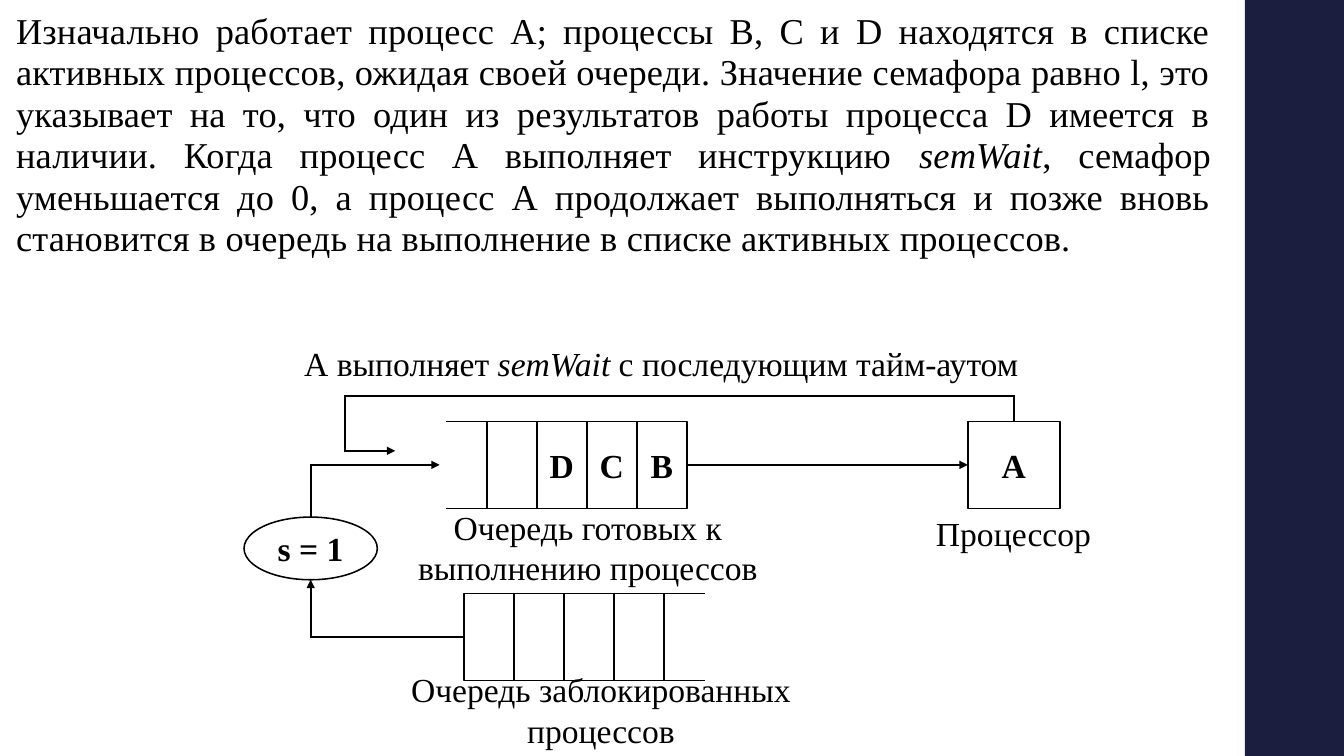
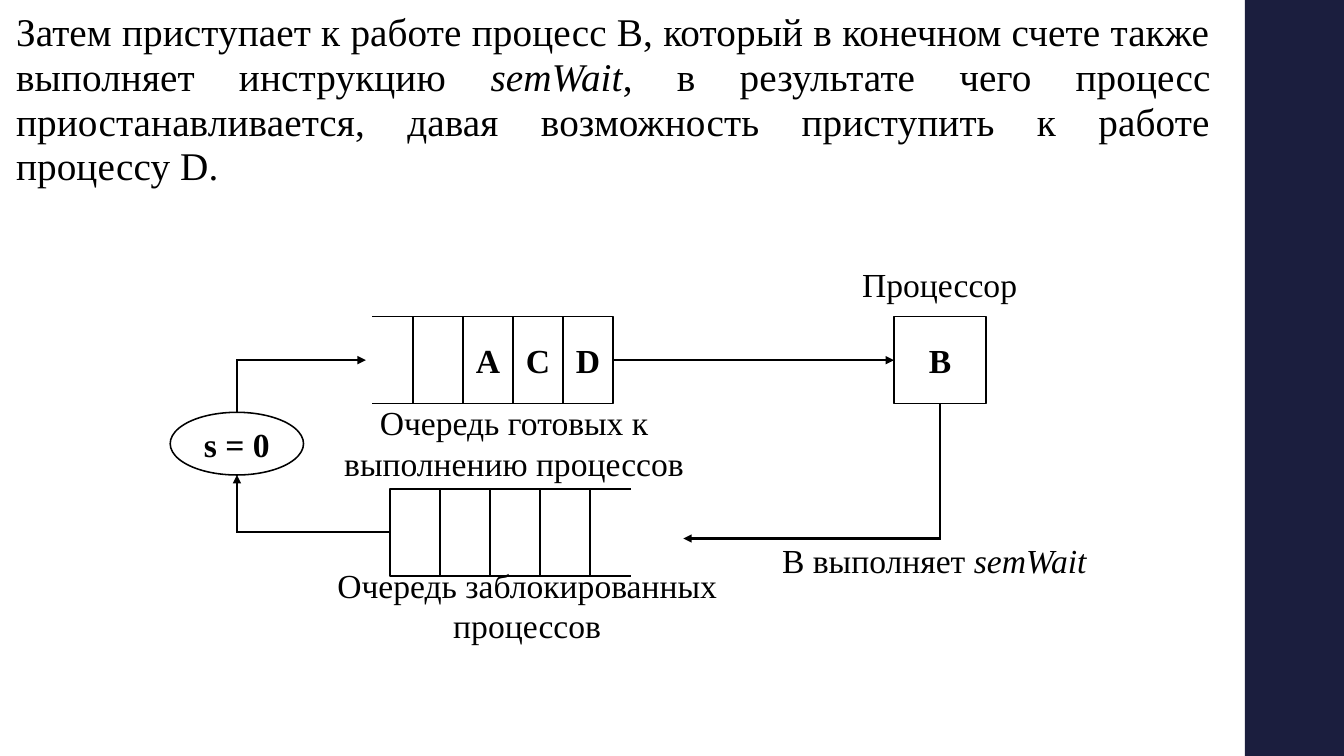
import itertools

import lxml.etree
import pptx
import pptx.dml.color
import pptx.enum.shapes
import pptx.enum.text
import pptx.oxml.ns
import pptx.util

Cm = pptx.util.Cm
Pt = pptx.util.Pt
ALIGN = pptx.enum.text.PP_ALIGN
SHAPE = pptx.enum.shapes.MSO_SHAPE
COLORS = {"ink": "000000", "paper": "FFFFFF", "band": "1B1E3E"}
FONT = "Times New Roman"
CELL_WIDTH, CELL_HEIGHT, OPEN_END = 1.26, 2.19, 1.04


def color(name):
    """Return a named colour."""
    return pptx.dml.color.RGBColor.from_string(COLORS[name])


def child(parent, tag, **attributes):
    """Append a drawing element with attributes."""
    element = lxml.etree.SubElement(parent, pptx.oxml.ns.qn(tag))
    for name, value in attributes.items():
        element.set(name, value)
    return element


def write(frame, text, size=24, bold=False, align=ALIGN.CENTER):
    """Write one paragraph, with the parts between asterisks in italics."""
    para = frame.paragraphs[0]
    para.alignment = align
    for index, part in enumerate(text.split("*")):
        if part:
            span = para.add_run()
            span.text = part
            span.font.name = FONT
            span.font.size = Pt(size)
            span.font.bold = bold
            span.font.italic = index % 2 == 1
            span.font.color.rgb = color("ink")
    return para


def add_label(page, text, left, top, width, height):
    """Add a centred, wrapping caption."""
    box = page.shapes.add_textbox(Cm(left), Cm(top), Cm(width), Cm(height))
    box.text_frame.word_wrap = True
    write(box.text_frame, text)


def add_node(shapes, kind, left, top, width, height, text=""):
    """Add an outlined shape with bold centred text."""
    node = shapes.add_shape(kind, Cm(left), Cm(top), Cm(width), Cm(height))
    node.shadow.inherit = False
    node.fill.solid()
    node.fill.fore_color.rgb = color("paper")
    node.line.color.rgb = color("ink")
    node.line.width = Pt(1.1)
    if text:
        frame = node.text_frame
        frame.margin_left = frame.margin_right = 0
        frame.vertical_anchor = pptx.enum.text.MSO_ANCHOR.MIDDLE
        write(frame, text, bold=True)
    return node


def add_line(shapes, start, end, width=1.0):
    """Add a straight line between two points."""
    line = shapes.add_connector(
        pptx.enum.shapes.MSO_CONNECTOR.STRAIGHT,
        Cm(start[0]), Cm(start[1]), Cm(end[0]), Cm(end[1]))
    line.line.color.rgb = color("ink")
    line.line.width = Pt(width)
    child(line._element.spPr, "a:effectLst")
    return line


def add_route(page, *points):
    """Add a right-angled route that ends in an arrowhead."""
    for start, end in itertools.pairwise(points):
        line = add_line(page.shapes, start, end, 1.5)
        line.line._get_or_add_ln().set("cap", "sq")
    child(line.line._get_or_add_ln(), "a:tailEnd", type="triangle")


def add_queue(page, left, top, names, open_side):
    """Add a row of cells, open at its left (-1) or right (1) side."""
    group = page.shapes.add_group_shape()
    for index, name in enumerate(names):
        add_node(group.shapes, SHAPE.RECTANGLE, left + index * CELL_WIDTH, top,
                 CELL_WIDTH, CELL_HEIGHT, name)
    edge = left if open_side < 0 else left + len(names) * CELL_WIDTH
    for height in (top, top + CELL_HEIGHT):
        add_line(group.shapes, (edge, height), (edge + open_side * OPEN_END, height))


def add_diagram(page, left, top, ready, running, semaphore, label_top):
    """Add the queues, semaphore and processor common to every state."""
    middle = top + CELL_HEIGHT / 2
    axis = left + 1.68
    blocked_top = top + 4.34
    blocked_middle = blocked_top + CELL_HEIGHT / 2
    ready_end = left + 6.12 + len(ready) * CELL_WIDTH
    add_queue(page, left + 6.12, top, ready, -1)
    add_queue(page, left + 5.54, blocked_top, [""] * 4, 1)
    add_node(page.shapes, SHAPE.RECTANGLE, left + 18.24, top, 2.32, CELL_HEIGHT, running)
    add_node(page.shapes, SHAPE.OVAL, left, top + 2.41, 3.36, 1.58, semaphore)
    add_route(page, (left + 5.54, blocked_middle), (axis, blocked_middle), (axis, top + 3.99))
    add_route(page, (axis, top + 2.41), (axis, middle), (left + 4.93, middle))
    add_route(page, (ready_end, middle), (left + 18.24, middle))
    add_label(page, "Очередь готовых к выполнению процессов", left + 3.99, top + 2.03, 9.35, 2.31)
    add_label(page, "Очередь заблокированных процессов", left + 3.43, top + 6.12, 11.13, 2.31)
    add_label(page, "Процессор", left + 15.67, top + label_top, 7.44, 1.27)


def add_timeout(page, left, top):
    """Add the route from the processor back to the ready queue."""
    add_route(page, (left + 19.4, top), (left + 19.4, top - 0.64), (left + 2.54, top - 0.64),
              (left + 2.54, top + 0.74), (left + 3.81, top + 0.74))
    add_label(page, "А выполняет *semWait *с последующим тайм-аутом", left - 0.05, top - 2.11, 21.13, 1.27)


def add_blocking(page, left, top):
    """Add the route from the processor to the blocked queue."""
    add_route(page, (left + 19.4, top + CELL_HEIGHT), (left + 19.4, top + 5.59),
              (left + 12.93, top + 5.59))
    add_label(page, "B выполняет *semWait*", left + 14.58, top + 5.49, 9.35, 1.27)


def add_page(deck, text, size, height):
    """Add a page with a justified body paragraph."""
    page = deck.slides.add_slide(deck.slide_layouts[1])
    title = page.shapes.title._element
    title.getparent().remove(title)
    body = page.placeholders[1]
    body.left, body.top, body.width, body.height = Cm(0.15), Cm(0.15), Cm(30.63), Cm(height)
    frame = body.text_frame
    frame.auto_size = pptx.enum.text.MSO_AUTO_SIZE.NONE
    para = write(frame, text, size, align=ALIGN.JUSTIFY)
    para.line_spacing = 0.95
    para.space_before, para.space_after = Pt(14), Pt(2)
    properties = para._p.get_or_add_pPr()
    properties.set("marL", "0")
    properties.set("indent", "0")
    child(properties, "a:buNone")
    for span in para.runs:
        span.font._element.set("spc", "10")
    return page


def add_master_band(deck, page):
    """Place the dark side band on the slide master."""
    band = page.shapes.add_shape(SHAPE.RECTANGLE, Cm(31.37), 0, Cm(2.54), deck.slide_height)
    band.shadow.inherit = False
    band.fill.solid()
    band.fill.fore_color.rgb = color("band")
    band.line.fill.background()
    band._element.nvSpPr.cNvPr.set("id", "20")
    deck.slide_master.shapes._spTree.insert(2, band._element)


def main():
    """Build and save the deck."""
    deck = pptx.Presentation()
    deck.slide_width, deck.slide_height = Cm(33.87), Cm(19.05)

    page = add_page(
        deck,
        "Изначально работает процесс А; процессы В, С и D находятся в списке активных процессов, "
        "ожидая своей очереди. Значение семафора равно l, это указывает на то, что один из "
        "результатов работы процесса D имеется в наличии. Когда процесс А выполняет инструкцию "
        "*semWait*, семафор уменьшается до 0, а процесс А продолжает выполняться и позже вновь "
        "становится в очередь на выполнение в списке активных процессов.", 26, 6.76)
    add_master_band(deck, page)
    add_diagram(page, 6.15, 10.62, ["", "D", "C", "B"], "А", "s = 1", 2.18)
    add_timeout(page, 6.15, 10.62)

    page = add_page(
        deck,
        "Затем приступает к работе процесс В, который в конечном счете также выполняет инструкцию "
        "*semWait*, в результате чего процесс приостанавливается, давая возможность приступить к "
        "работе процессу D.", 28, 5.31)
    add_diagram(page, 4.29, 7.98, ["", "A", "C", "D"], "B", "s = 0", -1.45)
    add_blocking(page, 4.29, 7.98)

    deck.save("out.pptx")


if __name__ == "__main__":
    main()
